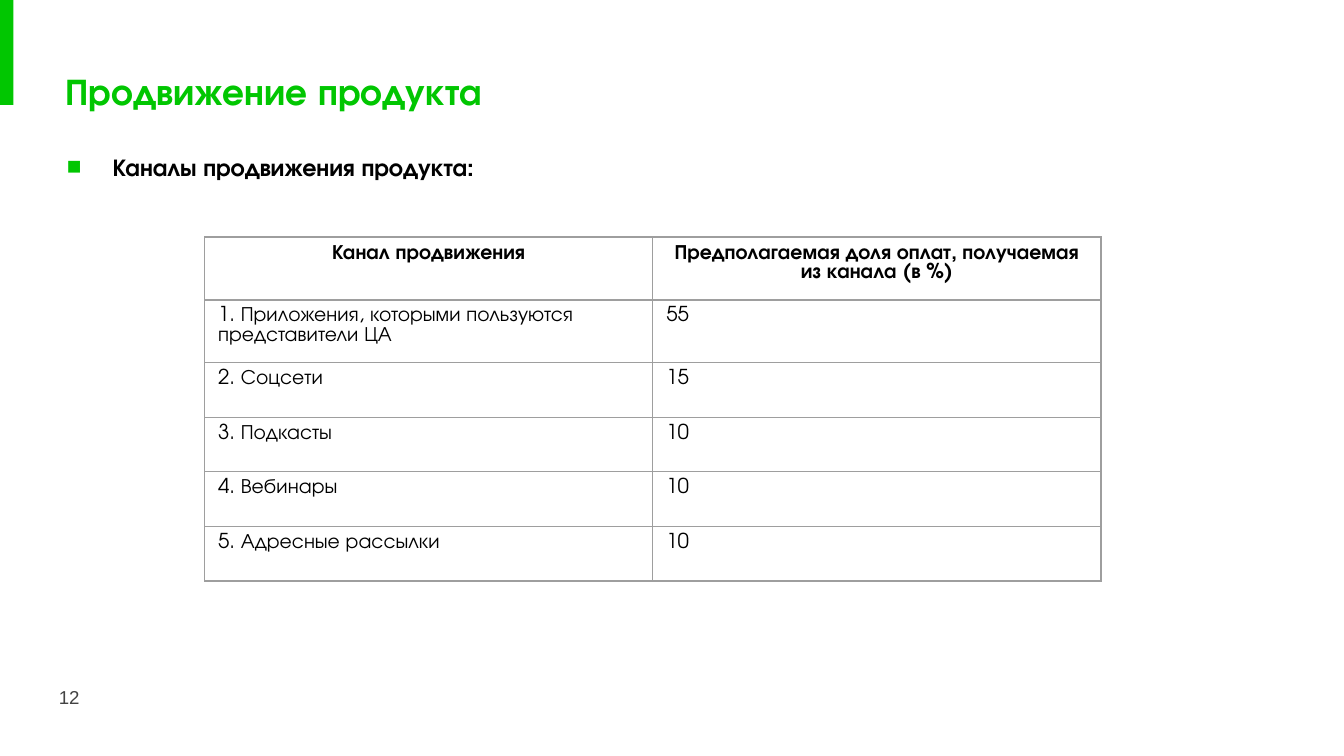
from dataclasses import dataclass

from lxml import etree
from pptx import Presentation
from pptx.dml.color import RGBColor
from pptx.enum.shapes import MSO_SHAPE
from pptx.enum.text import MSO_ANCHOR, PP_ALIGN
from pptx.oxml.ns import qn
from pptx.util import Inches, Pt

RECTANGLE = MSO_SHAPE.RECTANGLE
MIDDLE, TOP = MSO_ANCHOR.MIDDLE, MSO_ANCHOR.TOP
LEFT, CENTER, JUSTIFY = PP_ALIGN.LEFT, PP_ALIGN.CENTER, PP_ALIGN.JUSTIFY
WIDTH = Inches(10)
HEIGHT = WIDTH * 9 // 16

CHANNELS = [
    ("Канал продвижения", "Предполагаемая доля оплат, получаемая из канала (в %)"),
    ("1. Приложения, которыми пользуются представители ЦА", "55"),
    ("2. Соцсети", "15"),
    ("3. Подкасты", "10"),
    ("4. Вебинары", "10"),
    ("5. Адресные рассылки", "10"),
]


@dataclass(frozen=True)
class Theme:
    """Colours, fonts and type sizes of the slide."""
    accent: str = "01C601"
    ink: str = "000000"
    muted: str = "434343"
    rule: str = "9E9E9E"
    main_font: str = "TeX Gyre Adventor"
    plain_font: str = "Arial"
    title_size: int = 20
    lead_size: int = 13
    table_size: int = 11
    number_size: int = 10


THEME = Theme()


def across(percent):
    """Return a share of the slide width."""
    return round(WIDTH * percent / 100)


def down(percent):
    """Return a share of the slide height."""
    return round(HEIGHT * percent / 100)


def place(left, top, width, height):
    """Return a position and size given in percent of the slide."""
    return across(left), down(top), across(width), down(height)


def style_para(para, size, color, bold=False, align=LEFT, font=THEME.main_font):
    """Format a paragraph and its runs."""
    para.alignment = align
    for span in para.runs:
        span.font.name = font
        span.font.size = Pt(size)
        span.font.bold = bold
        span.font.color.rgb = RGBColor.from_string(color)


def add_text(page, area, text, size, color, anchor=TOP, **style):
    """Add a wrapped text box and return its paragraph."""
    frame = page.shapes.add_textbox(*place(*area)).text_frame
    frame.word_wrap = True
    frame.vertical_anchor = anchor
    frame.margin_left = frame.margin_right = Inches(0.1)
    frame.margin_top = frame.margin_bottom = Inches(0.1)
    frame.text = text
    para = frame.paragraphs[0]
    style_para(para, size, color, **style)
    return para


def add_bullet(para, symbol, color):
    """Give a paragraph a coloured bullet and a hanging indent."""
    props = para._p.get_or_add_pPr()
    props.set("marL", str(Inches(0.5)))
    props.set("indent", str(Inches(-0.34)))
    bullet_color = etree.SubElement(props, qn("a:buClr"))
    etree.SubElement(bullet_color, qn("a:srgbClr"), val=color)
    etree.SubElement(props, qn("a:buFont"), typeface=THEME.plain_font)
    etree.SubElement(props, qn("a:buChar"), char=symbol)


def add_accent_bar(page, area):
    """Add the plain accent bar at the slide's edge."""
    bar = page.shapes.add_shape(RECTANGLE, *place(*area))
    bar.shadow.inherit = False
    bar.fill.solid()
    bar.fill.fore_color.rgb = RGBColor.from_string(THEME.accent)
    bar.line.fill.background()


def outline_cell(cell):
    """Draw a thin line on every side of a cell."""
    props = cell._tc.get_or_add_tcPr()
    for index, side in enumerate(("lnL", "lnR", "lnT", "lnB")):
        line = etree.Element(qn(f"a:{side}"), w=str(Pt(0.75)))
        fill = etree.SubElement(line, qn("a:solidFill"))
        etree.SubElement(fill, qn("a:srgbClr"), val=THEME.rule)
        props.insert(index, line)


def add_channel_table(page, area, rows):
    """Add an outlined table with a bold centred header row."""
    table = page.shapes.add_table(len(rows), len(rows[0]), *place(*area)).table
    table.first_row = table.horz_banding = False
    for row_index, values in enumerate(rows):
        header = row_index == 0
        for column_index, value in enumerate(values):
            cell = table.cell(row_index, column_index)
            cell.text = value
            cell.fill.background()
            outline_cell(cell)
            style_para(cell.text_frame.paragraphs[0], THEME.table_size, THEME.ink,
                       bold=header, align=CENTER if header else LEFT)


def main():
    """Build and save the slide."""
    deck = Presentation()
    deck.slide_width, deck.slide_height = WIDTH, HEIGHT
    page = deck.slides.add_slide(deck.slide_layouts[6])
    add_accent_bar(page, (0, 0, 1, 13.9))
    add_text(page, (3.9, 7.2, 69.5, 9.6), "Продвижение продукта",
             THEME.title_size, THEME.accent, MIDDLE, bold=True, align=JUSTIFY)
    add_text(page, (3.4, 89.3, 6, 7.6), "12",
             THEME.number_size, THEME.muted, font=THEME.plain_font)
    lead = add_text(page, (2.4, 16.4, 89.8, 9.4), "Каналы продвижения продукта:",
                    THEME.lead_size, THEME.ink, bold=True, align=JUSTIFY)
    lead.line_spacing = 1.5
    add_bullet(lead, "■", THEME.accent)
    add_channel_table(page, (15.23, 31.36, 66.7, 43.3), CHANNELS)
    deck.save("out.pptx")


if __name__ == "__main__":
    main()
